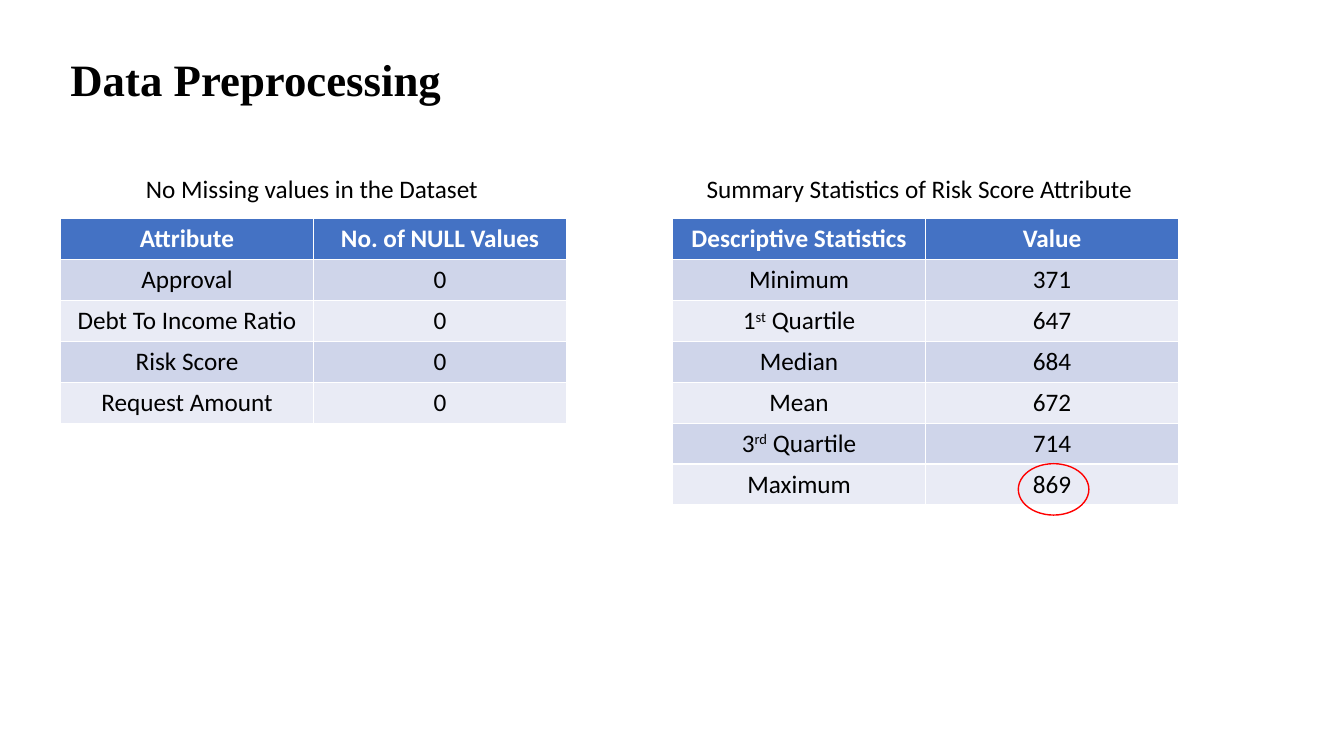
from pptx import Presentation
from pptx.dml.color import RGBColor
from pptx.enum.shapes import MSO_SHAPE
from pptx.enum.text import MSO_ANCHOR, MSO_AUTO_SIZE, PP_ALIGN
from pptx.util import Inches, Pt

TITLE = "Data Preprocessing"

# Carets enclose superscript text.
PANELS = [
    {
        "left": 0.6,
        "note": ("No Missing values in the Dataset", 1.35, 3.53),
        "rows": [
            ("Attribute", "No. of NULL Values"),
            ("Approval", "0"),
            ("Debt To Income Ratio", "0"),
            ("Risk Score", "0"),
            ("Request Amount", "0"),
        ],
    },
    {
        "left": 6.67,
        "note": ("Summary Statistics of Risk Score Attribute", 6.91, 4.52),
        "rows": [
            ("Descriptive Statistics", "Value"),
            ("Minimum", "371"),
            ("1^st^ Quartile", "647"),
            ("Median", "684"),
            ("Mean", "672"),
            ("3^rd^ Quartile", "714"),
            ("Maximum", "869"),
        ],
    },
]

THEME = {
    "title": {"name": "Times New Roman", "size": Pt(32), "bold": True, "color": "000000"},
    "body": {"name": "Calibri", "size": Pt(18), "bold": False, "color": "000000"},
    "head": {"name": "Calibri", "size": Pt(18), "bold": True, "color": "FFFFFF"},
    "head fill": "4472C4",
    "bands": ("CFD5EA", "E9EBF5"),
    "ring": "FF0000",
}

NOTE_TOP, GRID_TOP = 1.67, 2.17
GRID_WIDTH = 5.02
ROW = Inches(2.84) // 7


def style(font, look):
    """Set a font from a dict of format values."""
    for key, value in look.items():
        if key == "color":
            font.color.rgb = RGBColor.from_string(value)
        else:
            setattr(font, key, value)


def write(frame, text, look, align):
    """Write one paragraph, raising the parts between carets."""
    para = frame.paragraphs[0]
    para.alignment = align
    for place, part in enumerate(text.split("^")):
        run = para.add_run()
        run.text = part
        style(run.font, THEME[look])
        if place % 2:
            run._r.get_or_add_rPr().set("baseline", "30000")


def add_label(slide, text, look, box, align=PP_ALIGN.LEFT):
    """Add a text box at left, top, width, height in inches."""
    frame = slide.shapes.add_textbox(*map(Inches, box)).text_frame
    frame.word_wrap = True
    frame.auto_size = MSO_AUTO_SIZE.SHAPE_TO_FIT_TEXT
    write(frame, text, look, align)


def add_grid(slide, left, rows):
    """Add a table with a dark header and banded rows."""
    table = slide.shapes.add_table(
        len(rows), len(rows[0]), Inches(left), Inches(GRID_TOP),
        Inches(GRID_WIDTH), ROW * len(rows)).table
    for i, row in enumerate(rows):
        look = "body" if i else "head"
        fill = THEME["bands"][(i - 1) % 2] if i else THEME["head fill"]
        for j, text in enumerate(row):
            cell = table.cell(i, j)
            cell.fill.solid()
            cell.fill.fore_color.rgb = RGBColor.from_string(fill)
            cell.vertical_anchor = MSO_ANCHOR.TOP
            write(cell.text_frame, text, look, PP_ALIGN.CENTER)


def add_ring(slide, box):
    """Add an open ellipse around a value."""
    ring = slide.shapes.add_shape(MSO_SHAPE.OVAL, *map(Inches, box))
    ring.shadow.inherit = False
    ring.fill.background()
    ring.line.color.rgb = RGBColor.from_string(THEME["ring"])
    ring.line.width = Pt(1)


def main():
    """Build the slide and save it."""
    deck = Presentation()
    deck.slide_width, deck.slide_height = Inches(13.33), Inches(7.5)
    slide = deck.slides.add_slide(deck.slide_layouts[6])
    add_label(slide, TITLE, "title", (0.6, 0.46, 5.4, 0.64))
    for panel in PANELS:
        text, left, width = panel["note"]
        add_label(slide, text, "body", (left, NOTE_TOP, width, 0.4))
        add_grid(slide, panel["left"], panel["rows"])
    add_ring(slide, (10.1, 4.6, 0.7, 0.51))
    deck.save("out.pptx")


main()
